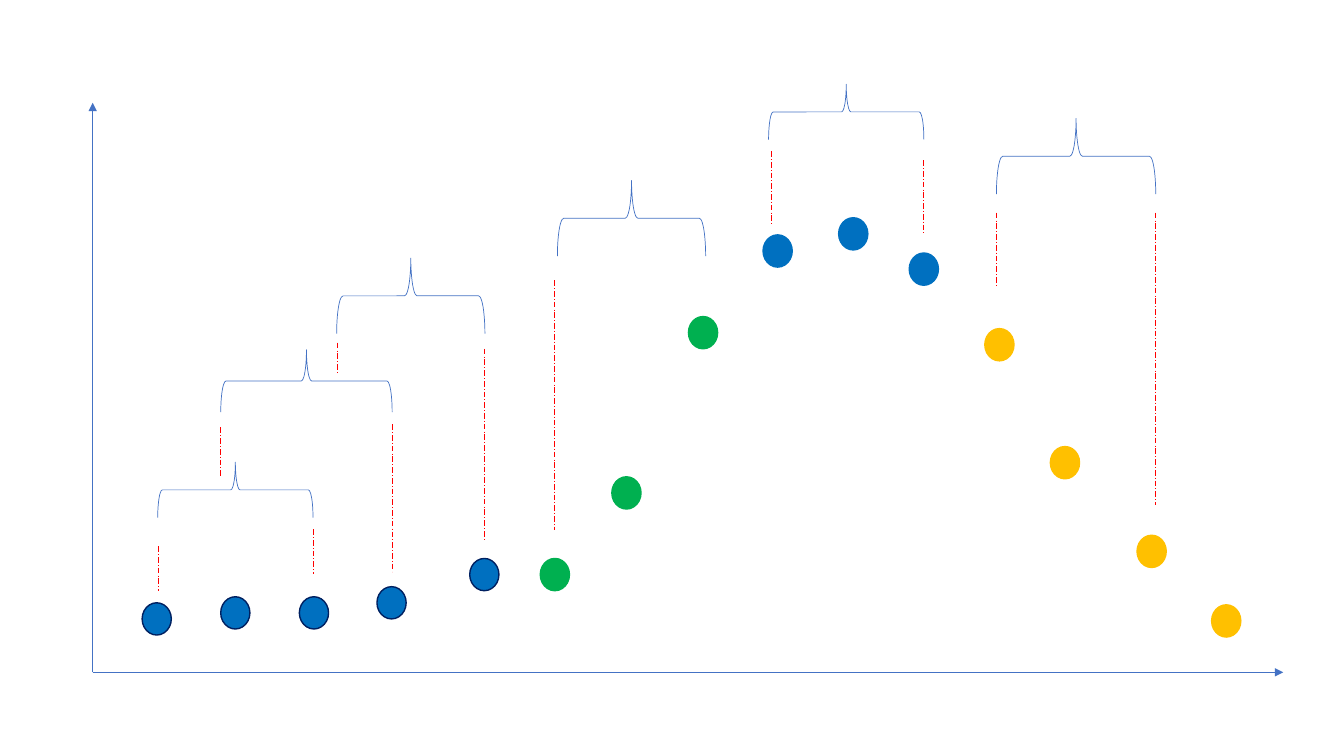
"""Draw points on two axes, with braces that group them in threes."""
import pptx
import pptx.dml.color
import pptx.enum.dml
import pptx.enum.shapes
import pptx.oxml
import pptx.oxml.ns
import pptx.util

COLORS = {"axis": "4472C4", "blue": "0070C0", "navy": "002060",
          "green": "00B050", "gold": "FFC000", "red": "FF0000"}
COLS, ROWS = 133.33, 75
DOT_W, DOT_H = 2.9, 3.2
AXES = [(127.3, 66.7), (9.2, 10.2)]
DOTS = {
    ("blue", "navy"): [(14.1, 59.8), (21.9, 59.2), (29.7, 59.2),
                       (37.4, 58.2), (46.6, 55.4)],
    ("green", "green"): [(53.6, 55.4), (60.7, 47.3), (68.3, 31.4)],
    ("blue", "blue"): [(75.7, 23.3), (83.2, 21.6), (90.2, 25.1)],
    ("gold", "gold"): [(97.7, 32.6), (104.2, 44.3), (112.8, 53.1),
                       (120.2, 60)],
}
BRACES = [(15.65, 45.85, 15.4, 5.5), (21.9, 34.7, 17, 6.2),
          (33.4, 25.6, 14.7, 7.5), (55.3, 17.9, 14.7, 7.5),
          (76.25, 8.35, 15.4, 5.5), (98.85, 11.75, 15.8, 7.5)]
DROPS = [(15.7, 54.2, 58.6), (31.1, 52.5, 56.9), (21.9, 42.4, 47.3),
         (38.9, 42.1, 56.7), (33.5, 34, 37), (48.1, 34.6, 53.6),
         (55, 27.8, 52.6), (76.5, 15, 22.4), (91.6, 15.9, 23.2),
         (98.8, 21.1, 28.5), (114.6, 21.1, 50.1)]


class Chart:
    """Hold the style and the slide, and draw on its grid."""

    def __init__(self, deck):
        self.slide = deck.slides.add_slide(deck.slide_layouts[6])
        self.col = deck.slide_width / COLS
        self.row = deck.slide_height / ROWS
        self.thin = pptx.util.Pt(0.5)
        self.bold = pptx.util.Pt(1)

    def x(self, cols):
        """Turn columns into a length."""
        return round(cols * self.col)

    def y(self, rows):
        """Turn rows into a length."""
        return round(rows * self.row)

    def paint(self, fill, color):
        """Set one solid colour on a fill."""
        fill.solid()
        fill.fore_color.rgb = pptx.dml.color.RGBColor.from_string(COLORS[color])

    def line(self, x1, y1, x2, y2, color):
        """Draw a thin straight line."""
        line = self.slide.shapes.add_connector(
            pptx.enum.shapes.MSO_CONNECTOR.STRAIGHT,
            self.x(x1), self.y(y1), self.x(x2), self.y(y2))
        self.paint(line.line.fill, color)
        line.line.width = self.thin
        pptx.oxml.ns.qn("a:effectLst")
        line._element.spPr.append(pptx.oxml.parse_xml(
            f'<a:effectLst {pptx.oxml.ns.nsdecls("a")}/>'))
        return line

    def axis(self, x2, y2):
        """Draw an axis from the origin, with an arrowhead."""
        line = self.line(9.2, 66.7, x2, y2, "axis").line
        line._get_or_add_ln().append(pptx.oxml.parse_xml(
            f'<a:tailEnd {pptx.oxml.ns.nsdecls("a")} type="triangle"/>'))

    def drop(self, x, top, end):
        """Draw a dashed upright line."""
        line = self.line(x, top, x, end, "red").line
        line.dash_style = pptx.enum.dml.MSO_LINE.LONG_DASH_DOT

    def shape(self, kind, x, y, wide, high, color, width):
        """Add an outlined preset shape."""
        shape = self.slide.shapes.add_shape(
            kind, self.x(x), self.y(y), self.x(wide), self.y(high))
        shape.shadow.inherit = False
        shape.fill.background()
        self.paint(shape.line.fill, color)
        shape.line.width = width
        return shape

    def dot(self, x, y, fill, edge):
        """Draw one data point."""
        dot = self.shape(pptx.enum.shapes.MSO_SHAPE.OVAL, x, y,
                         DOT_W, DOT_H, edge, self.bold)
        self.paint(dot.fill, fill)

    def brace(self, x, y, span, rise):
        """Draw a brace that points up, placed by its visible box."""
        shift = (span - rise) / 2
        brace = self.shape(pptx.enum.shapes.MSO_SHAPE.LEFT_BRACE,
                           x + shift, y - shift, rise, span,
                           "axis", self.thin)
        brace.rotation = 90


def main():
    """Build and save the slide."""
    deck = pptx.Presentation()
    deck.slide_width = pptx.util.Inches(13.33)
    deck.slide_height = pptx.util.Inches(7.5)
    chart = Chart(deck)
    for end in AXES:
        chart.axis(*end)
    for (fill, edge), spots in DOTS.items():
        for x, y in spots:
            chart.dot(x, y, fill, edge)
    for box in BRACES:
        chart.brace(*box)
    for drop in DROPS:
        chart.drop(*drop)
    deck.save("out.pptx")


if __name__ == "__main__":
    main()
